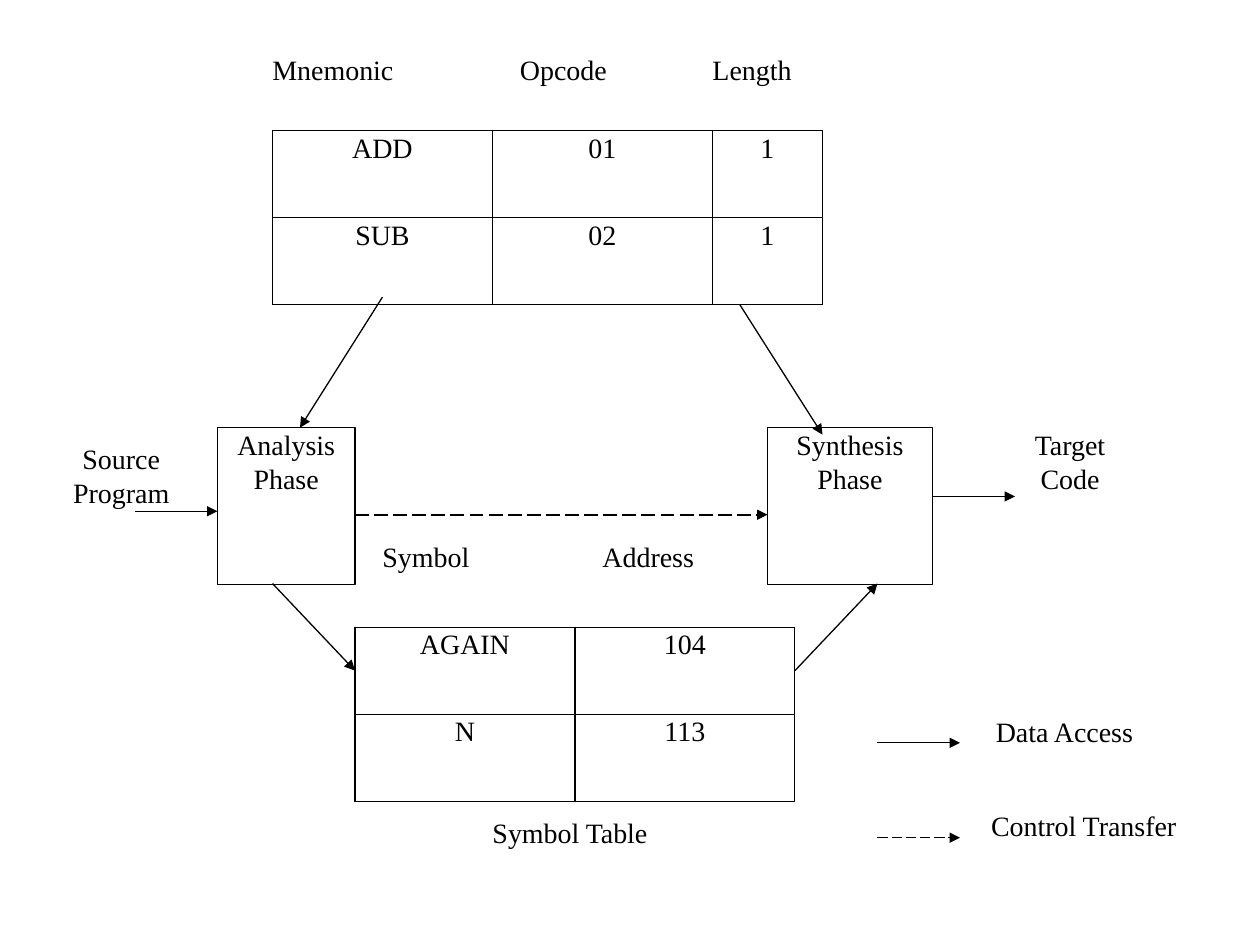
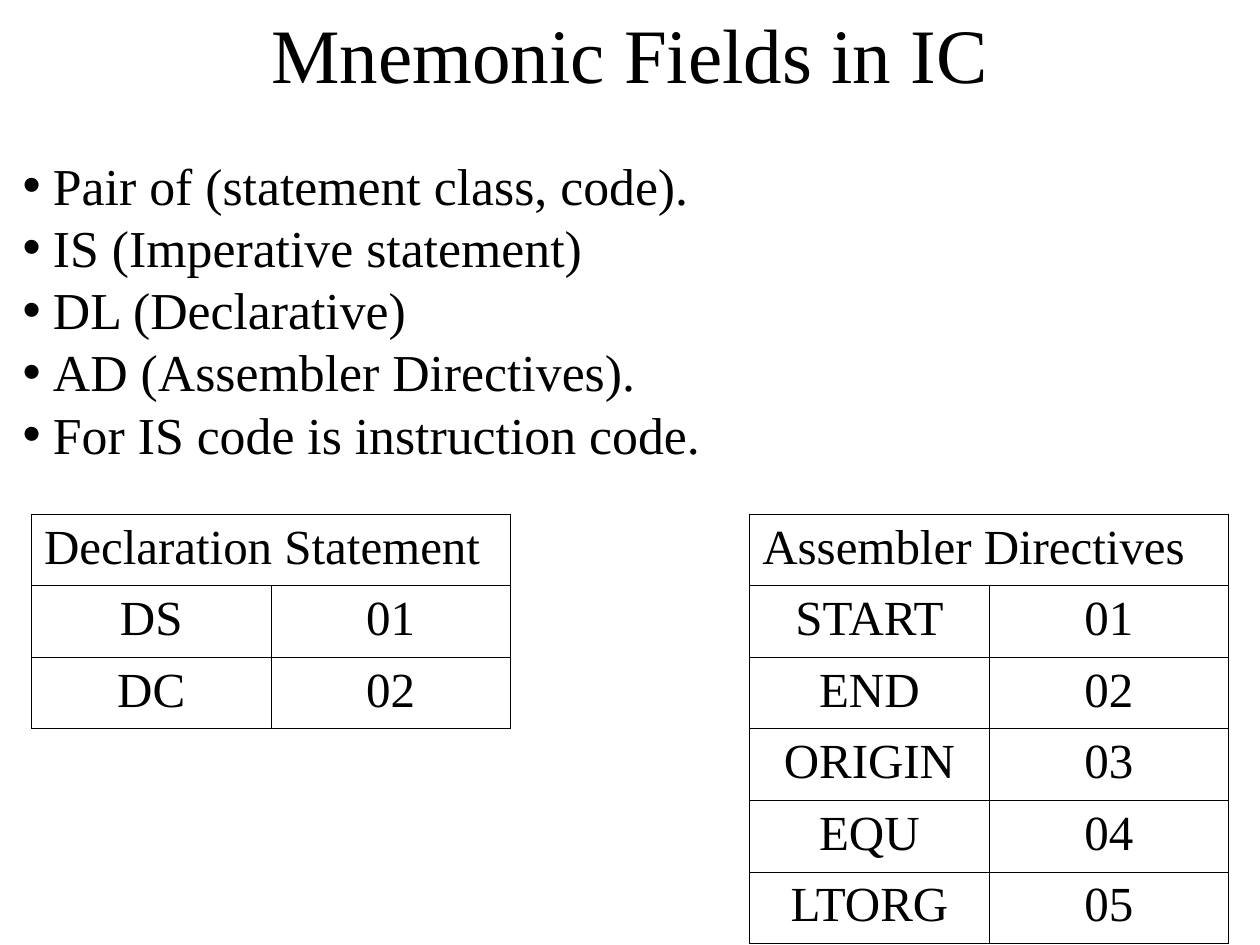
"""Build two slides on the assembler: its phases and tables, and the mnemonic fields."""
from dataclasses import dataclass
from typing import NamedTuple, Optional, Sequence

from pptx import Presentation
from pptx import util as u
from pptx.dml.color import RGBColor
from pptx.enum import dml, shapes, text
from pptx.oxml import parse_xml
from pptx.oxml.ns import nsdecls, qn


@dataclass(frozen=True)
class Theme:
    font: str = "Times New Roman"
    ink: RGBColor = RGBColor(0, 0, 0)
    paper: RGBColor = RGBColor(255, 255, 255)
    title_size: float = 44
    list_size: float = 29.6
    table_size: float = 28
    diagram_size: float = 16
    line: float = 0.75
    control_line: float = 1
    thin_line: float = 0.45
    plain_table: str = "{2D5ABB26-0587-4C30-8999-92F81FD0307C}"


class Frame(NamedTuple):
    left: float
    top: float
    width: float
    height: float


class Block(NamedTuple):
    words: str
    col: float
    row: float
    cols: float
    rows: float
    centred: bool = True


class Arrow(NamedTuple):
    start: tuple[float, float]
    end: tuple[float, float]
    dashed: bool = False
    weight: float = Theme.line


class TableLook(NamedTuple):
    size: float
    border: float
    margin_x: float
    margin_y: float


THEME = Theme()
SLIDE_WIDTH, SLIDE_HEIGHT = 10, 7.5
ORIGIN = SLIDE_WIDTH / 24
COL = (SLIDE_WIDTH - 2 * ORIGIN) / 42
ROW = 0.76 / 11
CELL_ROWS = 10
MERGED = ""
CENTER, LEFT, JUSTIFY = text.PP_ALIGN.CENTER, text.PP_ALIGN.LEFT, text.PP_ALIGN.JUSTIFY

DIAGRAM_LOOK = TableLook(THEME.diagram_size, THEME.line, 0, 0.02)
FIELDS_LOOK = TableLook(THEME.table_size, THEME.thin_line, 0.1, 0.05)

LABELS = [
    Block("Mnemonic", 8, 0, 6, 10, False),
    Block("Opcode", 17, 0, 5, 10, False),
    Block("Length", 24, 0, 4, 10, False),
    Block("Source Program", 0, 44.7, 5, 16),
    Block("Target\nCode", 35, 43.1, 4, 15),
    Block("Symbol", 12, 56, 6, 10, False),
    Block("Address", 20, 56, 5, 10, False),
    Block("Symbol Table", 16, 87.7, 8, 10, False),
    Block("Data Access", 32.3, 76, 9, 10),
    Block("Control Transfer", 33, 86.8, 9, 10),
]
PHASES = [
    Block("Analysis\nPhase", 6, 43.1, 5, 18),
    Block("Synthesis\nPhase", 26, 43.1, 6, 18),
]
ARROWS = [
    Arrow((3, 52.7), (6, 52.7)),
    Arrow((32, 51), (35, 51)),
    Arrow((12, 28.1), (9, 43.1)),
    Arrow((25, 29), (28, 43.9)),
    Arrow((8, 61), (11, 71)),
    Arrow((27, 71), (30, 61)),
    Arrow((11, 53.1), (26, 53.1), True, THEME.control_line),
    Arrow((30, 79.3), (33, 79.3)),
    Arrow((30, 90.2), (33, 90.2), True),
]
OPCODES = [("ADD", "01", "1"), ("SUB", "02", "1")]
SYMBOLS = [("AGAIN", "104"), ("N", "113")]
FIELD_POINTS = [
    "Pair of (statement class, code).",
    "IS (Imperative statement)",
    "DL (Declarative)",
    "AD (Assembler Directives).",
    "For IS code is instruction code.",
]
FIELD_CODES = [
    ("Declaration Statement", MERGED, None, "Assembler Directives", MERGED),
    ("DS", "01", None, "START", "01"),
    ("DC", "02", None, "END", "02"),
    (None, None, None, "ORIGIN", "03"),
    (None, None, None, "EQU", "04"),
    (None, None, None, "LTORG", "05"),
]


def on_grid(col: float, row: float) -> tuple[u.Length, u.Length]:
    """Turn a diagram column and row into a point on the slide."""
    return u.Inches(ORIGIN + col * COL), u.Inches(ORIGIN + row * ROW)


def write(frame, words: str, size: float, align) -> None:
    """Fill a text frame and format all its paragraphs."""
    frame.text = words
    for paragraph in frame.paragraphs:
        paragraph.alignment = align
        for run in paragraph.runs:
            run.font.name = THEME.font
            run.font.size = u.Pt(size)
            run.font.color.rgb = THEME.ink


def set_margins(holder, across: float, down: float) -> None:
    """Set the four margins of a text frame or cell in inches."""
    holder.margin_left = holder.margin_right = u.Inches(across)
    holder.margin_top = holder.margin_bottom = u.Inches(down)


def draw_block(slide, block: Block, boxed: bool = False) -> None:
    """Draw a label, or a phase box when boxed."""
    holder = slide.shapes.add_shape(
        shapes.MSO_SHAPE.RECTANGLE, *on_grid(block.col, block.row),
        u.Inches(block.cols * COL), u.Inches(block.rows * ROW))
    holder.shadow.inherit = False
    holder.fill.solid()
    holder.fill.fore_color.rgb = THEME.paper
    if boxed:
        holder.line.color.rgb = THEME.ink
        holder.line.width = u.Pt(THEME.line)
    else:
        holder.line.fill.background()
    frame = holder.text_frame
    frame.word_wrap = True
    frame.vertical_anchor = text.MSO_ANCHOR.TOP
    set_margins(frame, 0, 0)
    write(frame, block.words, THEME.diagram_size, CENTER if block.centred else LEFT)


def draw_arrow(slide, arrow: Arrow) -> None:
    """Draw a straight arrow between two grid points."""
    connector = slide.shapes.add_connector(
        shapes.MSO_CONNECTOR.STRAIGHT, *on_grid(*arrow.start), *on_grid(*arrow.end))
    connector.line.color.rgb = THEME.ink
    connector.line.width = u.Pt(arrow.weight)
    if arrow.dashed:
        connector.line.dash_style = dml.MSO_LINE.LONG_DASH
    properties = connector._element.spPr
    properties.find(qn("a:ln")).append(
        parse_xml(f'<a:tailEnd {nsdecls("a")} type="triangle"/>'))
    properties.append(parse_xml(f'<a:effectLst {nsdecls("a")}/>'))


def set_borders(cell, ruled: dict[str, bool], weight: float) -> None:
    """Rule the sides of a cell that are marked and clear the others."""
    properties = cell._tc.get_or_add_tcPr()
    ink = f'<a:solidFill><a:srgbClr val="{THEME.ink}"/></a:solidFill>'
    for position, (side, shown) in enumerate(ruled.items()):
        properties.insert(position, parse_xml(
            f'<a:ln{side} {nsdecls("a")} w="{u.Pt(weight)}">'
            f'{ink if shown else "<a:noFill/>"}</a:ln{side}>'))


def draw_table(slide, rows: Sequence[Sequence[Optional[str]]], frame: Frame,
               shares: Sequence[int], look: TableLook) -> None:
    """Draw a ruled table; None leaves a gap and MERGED joins the cell to its left."""
    table = slide.shapes.add_table(len(rows), len(shares), *map(u.Inches, frame)).table
    table.first_row = table.horz_banding = False
    table._tbl.tblPr.find(qn("a:tableStyleId")).text = THEME.plain_table
    for column, share in zip(table.columns, shares):
        column.width = u.Inches(frame.width * share / sum(shares))
    for row in table.rows:
        row.height = u.Inches(frame.height / len(rows))
    used = {(r, c) for r, row in enumerate(rows) for c, words in enumerate(row)
            if words is not None}
    for r, row in enumerate(rows):
        for c, words in enumerate(row):
            cell = table.cell(r, c)
            set_margins(cell, look.margin_x, look.margin_y)
            if words:
                heading = c + 1 < len(row) and row[c + 1] == MERGED
                write(cell.text_frame, words, look.size, LEFT if heading else CENTER)
            if words is None:
                cell.fill.background()
            else:
                cell.fill.solid()
                cell.fill.fore_color.rgb = THEME.paper
            neighbours = {"L": (r, c - 1), "R": (r, c + 1), "T": (r - 1, c), "B": (r + 1, c)}
            set_borders(cell, {side: bool(used & {(r, c), other})
                               for side, other in neighbours.items()}, look.border)
            if words == MERGED:
                table.cell(r, c - 1).merge(cell)


def diagram_frame(col: float, row: float, cols: float, count: int) -> Frame:
    """Frame a diagram table of count rows on the grid."""
    return Frame(ORIGIN + col * COL, ORIGIN + row * ROW, cols * COL, count * CELL_ROWS * ROW)


def place(holder, frame: Frame) -> None:
    """Move a placeholder to a frame."""
    holder.left, holder.top, holder.width, holder.height = map(u.Inches, frame)


def build_phases(deck) -> None:
    """Show the two assembler phases with the tables they use."""
    slide = deck.slides.add_slide(deck.slide_layouts[6])
    for label in LABELS:
        draw_block(slide, label)
    for phase in PHASES:
        draw_block(slide, phase, boxed=True)
    draw_table(slide, OPCODES, diagram_frame(8, 9, 20, len(OPCODES)), (2, 2, 1), DIAGRAM_LOOK)
    draw_table(slide, SYMBOLS, diagram_frame(11, 66, 16, len(SYMBOLS)), (1, 1), DIAGRAM_LOOK)
    for arrow in ARROWS:
        draw_arrow(slide, arrow)


def build_fields(deck) -> None:
    """List the mnemonic fields above their codes."""
    slide = deck.slides.add_slide(deck.slide_layouts[1])
    title, points = slide.shapes.title, slide.placeholders[1]
    place(title, Frame(0.75, 0.08, 8.5, 0.67))
    write(title.text_frame, "Mnemonic Fields in IC", THEME.title_size, CENTER)
    place(points, Frame(0.08, 1.17, 9.92, 2.75))
    write(points.text_frame, "\n".join(FIELD_POINTS), THEME.list_size, JUSTIFY)
    for holder in (title, points):
        holder.text_frame.auto_size = text.MSO_AUTO_SIZE.NONE
    indent = u.Inches(0.24)
    for paragraph in points.text_frame.paragraphs:
        paragraph.space_before = u.Pt(0)
        properties = paragraph._p.get_or_add_pPr()
        properties.set("marL", str(indent))
        properties.set("indent", str(-indent))
    draw_table(slide, FIELD_CODES, Frame(0.25, 4.08, 9.5, 3.41), (1,) * 5, FIELDS_LOOK)


def main() -> None:
    """Build and save the deck."""
    deck = Presentation()
    deck.slide_width, deck.slide_height = u.Inches(SLIDE_WIDTH), u.Inches(SLIDE_HEIGHT)
    build_phases(deck)
    build_fields(deck)
    deck.save("out.pptx")


if __name__ == "__main__":
    main()
